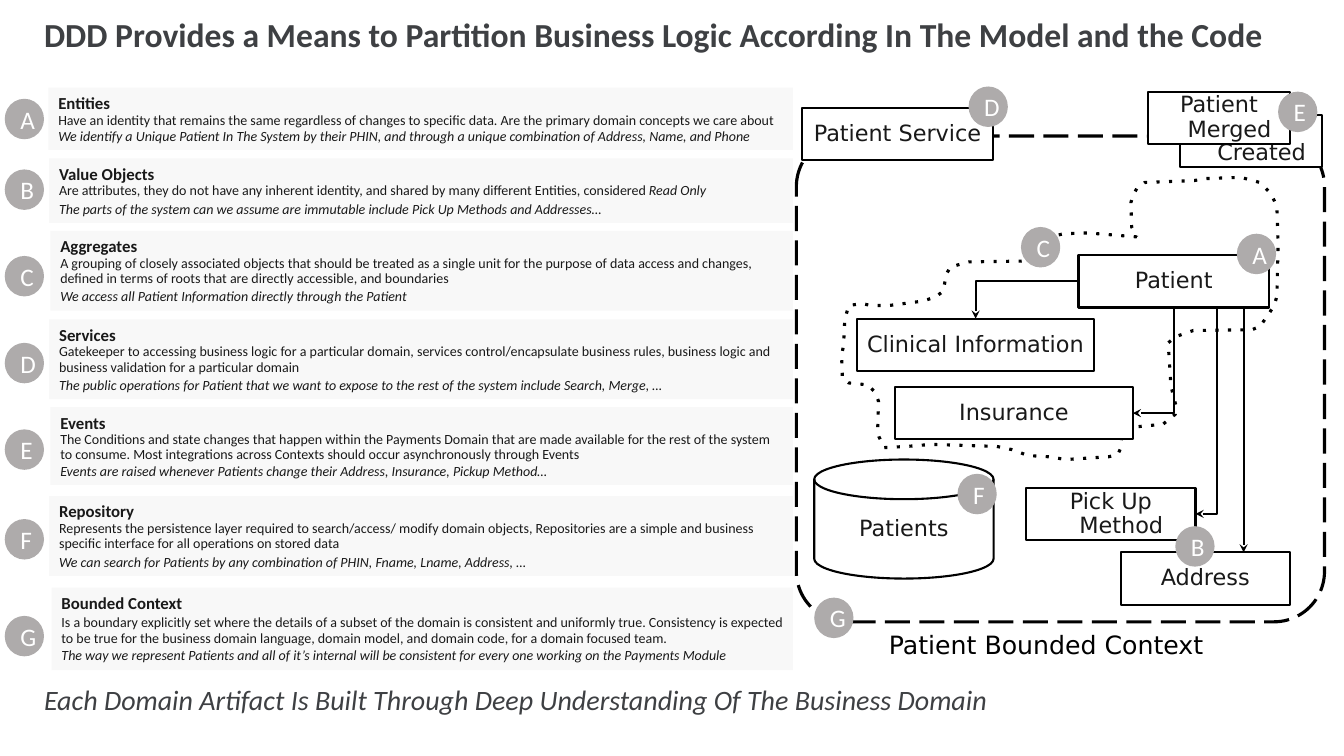
from dataclasses import dataclass

from lxml.etree import SubElement
from pptx import Presentation
from pptx.dml.color import RGBColor
from pptx.enum.shapes import MSO_CONNECTOR as LINK, MSO_SHAPE as SHAPE
from pptx.enum.text import MSO_ANCHOR as ANCHOR, MSO_AUTO_SIZE as FIT, PP_ALIGN as ALIGN
from pptx.oxml.ns import qn
from pptx.util import Cm, Pt

SANS, DIAGRAM_FONT = "Calibri", "DejaVu Sans"
BLACK, WHITE, INK, SLATE, GREY, PALE = "000000", "FFFFFF", "191919", "3E4043", "AEABAB", "F8F8F8"
BADGE_SIZE = (0.99, 1.02)
BOX_HEIGHT = 1.32


@dataclass
class Box:
    """A rectangle in centimetres."""
    left: float
    top: float
    width: float
    height: float

    def inner(self, left, top, width, height):
        return Box(self.left + left, self.top + top, width, height)

    def lengths(self):
        return [Cm(value) for value in (self.left, self.top, self.width, self.height)]


@dataclass
class Concept:
    left: float
    top: float
    height: float
    badge_top: float
    name: str
    meaning: list
    example: str
    spacings: tuple = (0.9, 1)
    space_before: float = 1


# Positions are relative to the legend; every card ends at its right edge.
CONCEPTS = [
    Concept(1.12, 0.01, 1.57, 0.29, "Entities",
            ["Have an identity that remains the same regardless of changes to specific data. Are the primary domain concepts we care about"],
            "We identify a Unique Patient In The System by their PHIN, and through a unique combination of Address, Name, and Phone",
            (0.9, 0.9)),
    Concept(1.14, 1.79, 1.63, 2.07, "Value Objects",
            ["Are attributes, they do not have any inherent identity, and shared by many different Entities, considered ", "Read Only"],
            "The parts of the system can we assume are immutable include Pick Up Methods and Addresses…"),
    Concept(1.17, 3.62, 2.01, 4.25, "Aggregates",
            ["A grouping of closely associated objects that should be treated as a single unit for the purpose of data access and changes, defined in terms of roots that are directly accessible, and boundaries"],
            "We access all Patient Information directly through the Patient"),
    Concept(1.14, 5.85, 2.01, 6.44, "Services",
            ["Gatekeeper to accessing business logic for a particular domain, services control/encapsulate business rules, business logic and business validation for a particular domain"],
            "The public operations for Patient that we want to expose to the rest of the system include Search, Merge, …"),
    Concept(1.17, 8.06, 1.96, 8.62, "Events",
            ["The Conditions and state changes that happen within the Payments Domain that are made available for the rest of the system to consume. Most integrations across Contexts should occur asynchronously through Events"],
            "Events are raised whenever Patients change their Address, Insurance, Pickup Method…",
            (0.9, 0.9)),
    Concept(1.14, 10.3, 2.01, 10.88, "Repository",
            ["Represents the persistence layer required to search/access/ modify domain objects, Repositories are a simple and business specific interface for all operations on stored data"],
            "We can search for Patients by any combination of PHIN, Fname, Lname, Address, …"),
    Concept(1.2, 12.61, 2.08, 13.32, "Bounded Context",
            ["Is a boundary explicitly set where the details of a subset of the domain is consistent and uniformly true. Consistency is expected to be true for the business domain language, domain model, and domain code, for a domain focused team."],
            "The way we represent Patients and all of it’s internal will be consistent for every one working on the Payments Module",
            (1, 1), 0),
]

# Left, top and width inside the diagram.
DOMAIN_BOXES = {
    "Patient": (7.18, 4.43, 4.8),
    "Pick Up Method": (5.86, 10.29, 4.27),
    "Address": (8.24, 11.92, 4.27),
    "Clinical Information": (1.59, 6.03, 5.99),
    "Insurance": (2.56, 7.75, 5.99),
    "Patient Service": (0.22, 0.72, 4.8),
    "Patient Created": (9.74, 0.9, 3.58),
    "Patient Merged": (8.93, 0.31, 3.58),
}
DIAGRAM_BADGES = {
    "A": (11.17, 3.89), "B": (9.62, 11.26), "C": (5.73, 3.72), "D": (4.41, 0.18),
    "E": (12.21, 0.31), "F": (4.13, 9.94), "G": (0.52, 13.06),
}
AGGREGATE_OUTLINE = [
    (8.65, 3.97), (7.41, 3.87), (6.82, 3.89), (6.44, 3.97), (6.11, 4.3), (5.81, 4.58),
    (4.41, 4.6), (3.95, 4.73), (3.85, 4.91), (3.77, 5.34), (3.57, 5.49), (3.24, 5.59),
    (2.4, 5.7), (1.95, 5.7), (1.72, 5.65), (1.39, 5.7), (1.29, 6.05), (1.26, 6.69),
    (1.21, 6.97), (1.23, 7.53), (1.39, 7.65), (1.87, 7.7), (2.05, 7.88), (2.14, 8.11),
    (2.12, 8.82), (2.15, 9), (2.28, 9.28), (2.86, 9.25), (3.47, 9.2), (5.12, 9.25),
    (5.5, 9.33), (5.91, 9.48), (6.42, 9.51), (6.87, 9.58), (7.94, 9.51), (8.17, 9.46),
    (8.24, 9.3), (8.27, 9), (8.3, 8.9), (8.5, 8.77), (9.31, 8.69), (9.62, 8.44),
    (9.64, 8.24), (9.51, 7.73), (9.44, 6.64), (9.64, 6.48), (10.07, 6.33), (11.55, 6.31),
    (11.75, 6.23), (11.95, 5.95), (12.11, 5.7), (12.18, 5.47), (12.21, 4.15), (12.18, 3.21),
    (12.11, 3.05), (12.03, 2.88), (11.75, 2.6), (11.27, 2.47), (10.4, 2.5), (10.1, 2.55),
    (8.85, 2.6), (8.65, 2.75), (8.55, 2.93), (8.5, 3.11), (8.52, 3.72),
]


def color(value):
    return RGBColor.from_string(value)


def write(para, text, size, font=SANS, ink=INK, bold=False, italic=False,
          align=ALIGN.LEFT, spacing=None, before=0, hanging=False):
    """Add one span to a paragraph and set the paragraph's layout."""
    span = para.add_run()
    span.text = text
    span.font.size, span.font.name = Pt(size), font
    span.font.bold, span.font.italic = bold, italic
    span.font.color.rgb = color(ink)
    para.alignment = align
    if spacing:
        para.line_spacing = spacing
    if before:
        para.space_before = Pt(before)
    if hanging:
        properties = para._p.get_or_add_pPr()
        properties.set("marL", str(Cm(0.53)))
        properties.set("indent", str(-Cm(0.53)))


def set_frame(shape, anchor=ANCHOR.TOP, margins=(0.25, 0.13), grow=False):
    frame = shape.text_frame
    frame.word_wrap = True
    frame.vertical_anchor = anchor
    frame.margin_left = frame.margin_right = Cm(margins[0])
    frame.margin_top = frame.margin_bottom = Cm(margins[1])
    frame.auto_size = FIT.SHAPE_TO_FIT_TEXT if grow else FIT.NONE
    return frame


def paint(shape, fill, line_width=0, dash=None):
    shape.shadow.inherit = False
    shape.fill.solid()
    shape.fill.fore_color.rgb = color(fill)
    if not line_width:
        shape.line.fill.background()
        return
    shape.line.width = Pt(line_width)
    shape.line.color.rgb = color(BLACK)
    if dash:
        SubElement(shape.line._get_or_add_ln(), qn("a:prstDash"), val=dash)


def add_painted(slide, kind, box, fill, **outline):
    shape = slide.shapes.add_shape(kind, *box.lengths())
    paint(shape, fill, **outline)
    return shape


def add_badge(slide, area, left, top, letter):
    badge = add_painted(slide, SHAPE.OVAL, area.inner(left, top, *BADGE_SIZE), GREY)
    frame = set_frame(badge, ANCHOR.MIDDLE)
    write(frame.paragraphs[0], letter, 18, ink=WHITE, align=ALIGN.CENTER)


def add_node(slide, kind, box, label):
    node = add_painted(slide, kind, box, WHITE, line_width=1.5)
    frame = set_frame(node, ANCHOR.MIDDLE, (0, 0))
    write(frame.paragraphs[0], label, 16, DIAGRAM_FONT, align=ALIGN.CENTER, spacing=0.9, hanging=True)


def add_arrow(slide, area, start, end, first=None):
    """Draw an arrow; first is "across" or "down" for one with a corner."""
    (x1, y1), (x2, y2) = [(area.left + x, area.top + y) for x, y in (start, end)]
    if first == "down":  # laid out flat about its centre, then turned
        middle_x, middle_y = (x1 + x2) / 2, (y1 + y2) / 2
        half_run, half_rise = (y2 - y1) / 2, (x1 - x2) / 2
        x1, x2 = middle_x - half_run, middle_x + half_run
        y1, y2 = middle_y - half_rise, middle_y + half_rise
    kind = LINK.ELBOW if first else LINK.STRAIGHT
    arrow = slide.shapes.add_connector(kind, Cm(x1), Cm(y1), Cm(x2), Cm(y2))
    if first:
        arrow._element.spPr.find(qn("a:prstGeom")).set("prst", "bentConnector2")
    if first == "down":
        arrow.rotation = 90
    arrow.line.width = Pt(1.5)
    arrow.line.color.rgb = color(BLACK)
    SubElement(arrow.line._get_or_add_ln(), qn("a:tailEnd"), type="stealth")
    SubElement(arrow._element.spPr, qn("a:effectLst"))


def add_title(slide, box):
    title = slide.shapes.title
    title.left, title.top, title.width, title.height = box.lengths()
    write(set_frame(title, grow=True).paragraphs[0],
          "DDD Provides a Means to Partition Business Logic According In The Model and the Code",
          24, ink=SLATE, bold=True, spacing=0.9)


def add_legend(slide, box):
    for letter, concept in zip("ABCDEFG", CONCEPTS):
        area = box.inner(concept.left, concept.top, box.width - concept.left, concept.height)
        frame = set_frame(add_painted(slide, SHAPE.RECTANGLE, area, PALE), grow=True)
        write(frame.paragraphs[0], concept.name, 12, bold=True)
        meaning_spacing, example_spacing = concept.spacings
        meaning = frame.add_paragraph()
        for number, text in enumerate(concept.meaning):
            write(meaning, text, 10, italic=number > 0, spacing=meaning_spacing)
        write(frame.add_paragraph(), concept.example, 10, italic=True,
              spacing=example_spacing, before=concept.space_before)
        add_badge(slide, box, 0.02, concept.badge_top, letter)


def add_diagram(slide, box):
    context = add_painted(slide, SHAPE.ROUNDED_RECTANGLE, box.inner(0.07, 1.43, 13.31, 12.24),
                          WHITE, line_width=2.25, dash="lgDash")
    context.adjustments[0] = 0.104
    start, *rest = [(Cm(box.left + x), Cm(box.top + y)) for x, y in AGGREGATE_OUTLINE]
    builder = slide.shapes.build_freeform(*start)
    builder.add_line_segments(rest, close=True)
    paint(builder.convert_to_shape(), WHITE, line_width=2.25, dash="dot")
    for label, (left, top, width) in DOMAIN_BOXES.items():
        add_node(slide, SHAPE.RECTANGLE, box.inner(left, top, width, BOX_HEIGHT), label)
    add_node(slide, SHAPE.FLOWCHART_MAGNETIC_DISK, box.inner(0.52, 9.58, 4.52, 3), "Patients")
    add_arrow(slide, box, (11.34, 5.75), (11.34, 11.92))
    add_arrow(slide, box, (7.18, 5.09), (4.59, 6.03), "across")
    add_arrow(slide, box, (9.58, 5.75), (8.55, 8.41), "down")
    add_arrow(slide, box, (10.66, 5.75), (10.13, 10.95), "down")
    for letter, (left, top) in DIAGRAM_BADGES.items():
        add_badge(slide, box, left, top, letter)
    caption = slide.shapes.add_textbox(*box.inner(0.22, 13.82, 12.29, 0.94).lengths())
    write(set_frame(caption, grow=True).paragraphs[0], "Patient Bounded Context", 18,
          DIAGRAM_FONT, BLACK, align=ALIGN.CENTER, spacing=0.9, hanging=True)


def add_takeaway(slide, box):
    banner = add_painted(slide, SHAPE.RECTANGLE, box, WHITE)
    write(set_frame(banner, grow=True).paragraphs[0],
          "Each Domain Artifact Is Built Through Deep Understanding Of The Business Domain",
          20, ink=SLATE, italic=True, spacing=0.9)


def main():
    deck = Presentation()
    deck.slide_width, deck.slide_height = Cm(33.87), Cm(19.05)
    slide = deck.slides.add_slide(deck.slide_layouts[5])
    add_title(slide, Box(0.86, 0.33, 32.64, 1.17))
    add_diagram(slide, Box(20, 2, 13.4, 14.8))
    add_legend(slide, Box(0.1, 2.2, 19.88, 14.7))
    add_takeaway(slide, Box(0.86, 17.17, 32.64, 1.02))
    deck.save("out.pptx")


if __name__ == "__main__":
    main()
